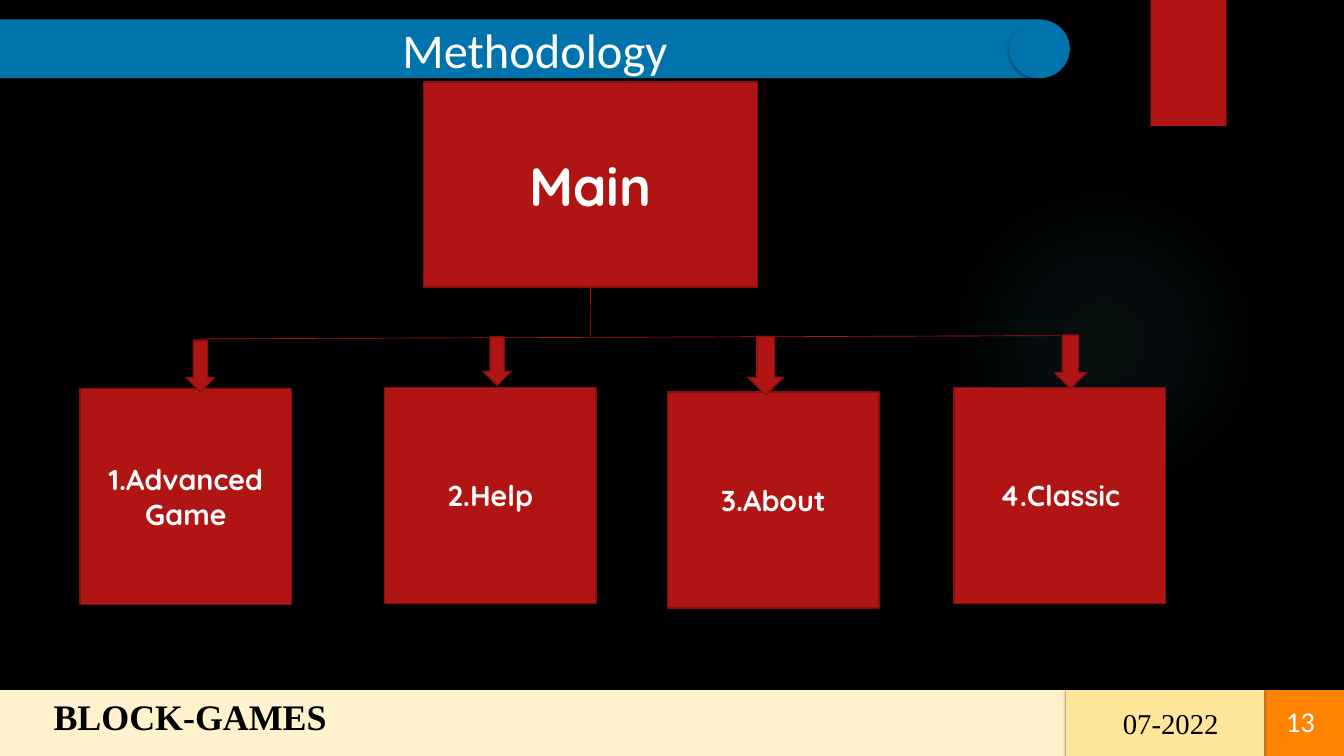
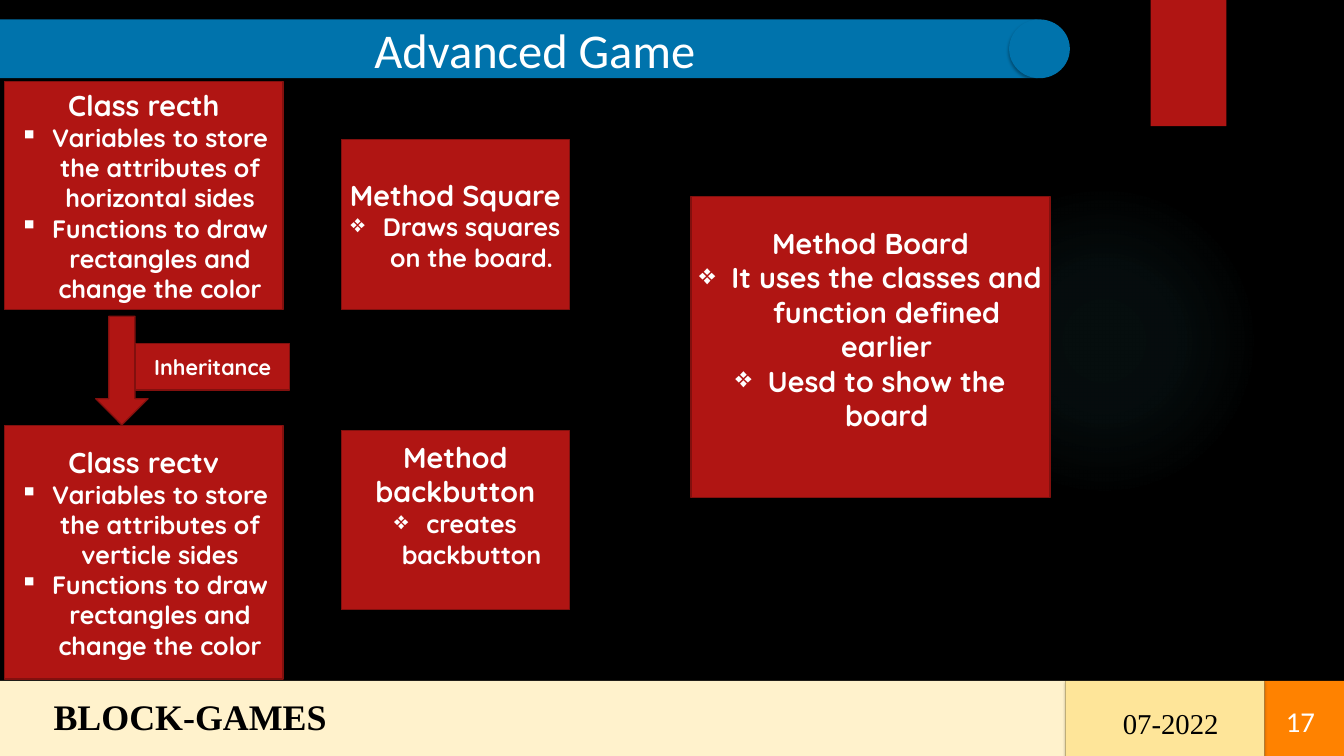
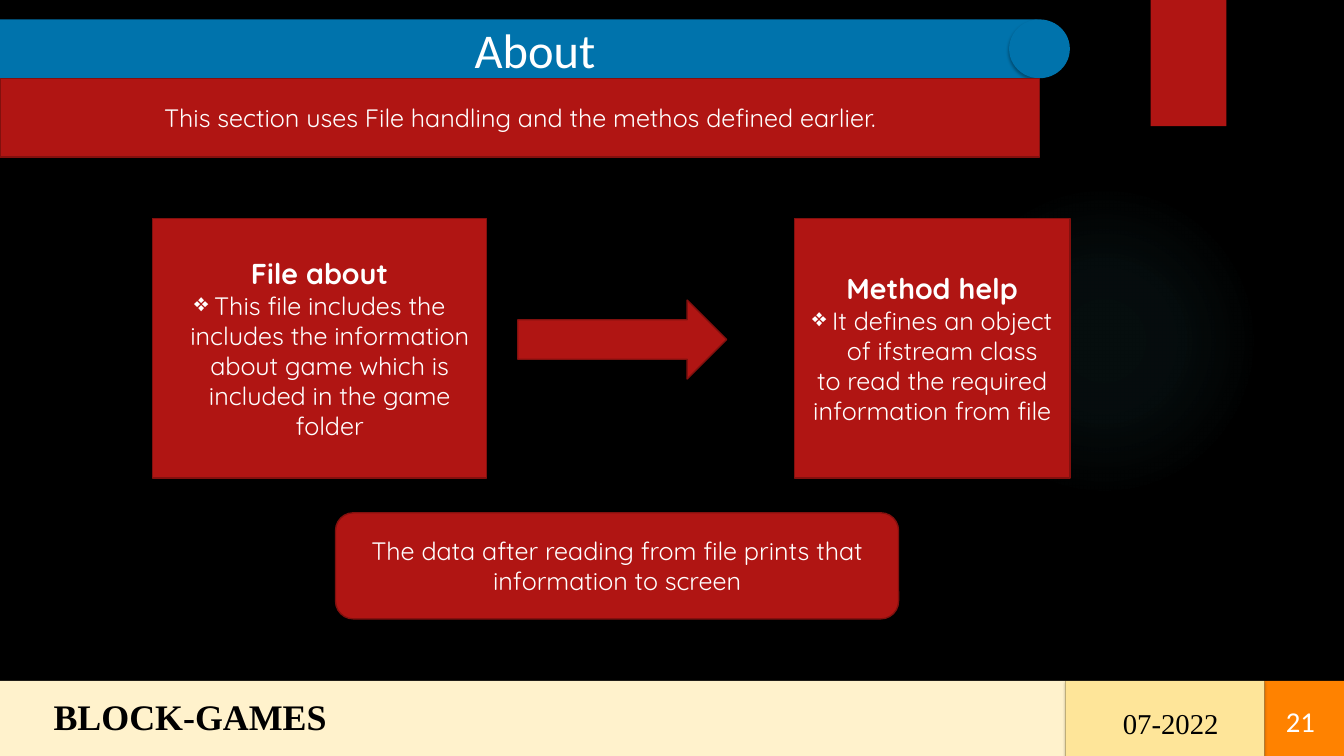
from dataclasses import dataclass

from pptx import Presentation
from pptx.dml.color import RGBColor
from pptx.enum.shapes import MSO_CONNECTOR, MSO_SHAPE as SHAPE
from pptx.enum.text import MSO_ANCHOR as ANCHOR, MSO_AUTO_SIZE, PP_ALIGN as ALIGN
from pptx.oxml import parse_xml
from pptx.oxml.ns import nsdecls, qn
from pptx.util import Inches, Pt


@dataclass(frozen=True)
class Theme:
    background: str = "000000"
    red: str = "B01513"
    outline: str = "82100E"
    blue: str = "0073AC"
    cream: str = "FFF2CC"
    sand: str = "FEE599"
    orange: str = "FF8200"
    glow: str = "50B9C1"
    light: str = "FFFFFF"
    dark: str = "000000"
    body_font: str = "Quicksand"
    title_font: str = "Calibri"
    footer_font: str = "Times New Roman"
    title: int = 54
    main: int = 60
    brand: int = 40
    heading: int = 32
    body: int = 28
    label: int = 24


@dataclass(frozen=True)
class Line:
    text: str
    size: int = Theme.body
    bold: bool = True
    bullet: str = ""
    indent: float = 0.5


THEME = Theme()
WIDTH, HEIGHT = 20.79, 11.69


def add_block(slide, kind, frame, fill=THEME.red, outline=THEME.outline):
    block = slide.shapes.add_shape(kind, *map(Inches, frame))
    block.shadow.inherit = False
    block.fill.solid()
    block.fill.fore_color.rgb = RGBColor.from_string(fill)
    if outline:
        block.line.color.rgb = RGBColor.from_string(outline)
        block.line.width = Pt(1.5)
    else:
        block.line.fill.background()
    return block


def write(shape, lines, font=THEME.body_font, color=THEME.light,
          align=ALIGN.CENTER, anchor=ANCHOR.MIDDLE):
    """Fill a shape with one formatted paragraph per Line."""
    frame = shape.text_frame
    frame.word_wrap = True
    frame.auto_size = MSO_AUTO_SIZE.NONE
    frame.vertical_anchor = anchor
    frame.text = "\n".join(line.text for line in lines)
    for paragraph, line in zip(frame.paragraphs, lines):
        paragraph.alignment = align
        for run in paragraph.runs:
            run.font.name = font
            run.font.size = Pt(line.size)
            run.font.bold = line.bold
            run.font.color.rgb = RGBColor.from_string(color)
        if line.bullet:
            properties = paragraph._p.get_or_add_pPr()
            properties.set("marL", str(Inches(line.indent)))
            properties.set("indent", str(-Inches(line.indent)))
            properties.append(parse_xml(
                f'<a:buChar {nsdecls("a")} char="{line.bullet}"/>'))


prs = Presentation()
prs.slide_width, prs.slide_height = Inches(WIDTH), Inches(HEIGHT)
backdrop = prs.slide_master.background.fill
backdrop.solid()
backdrop.fore_color.rgb = RGBColor.from_string(THEME.background)
layout = prs.slide_layouts[5]
for placeholder in list(layout.placeholders):
    if placeholder.placeholder_format.idx != 0:
        placeholder.element.getparent().remove(placeholder.element)

methodology, advanced, about = [prs.slides.add_slide(layout) for _ in range(3)]

# Glow and corner tab, moved to the layout so that every slide shows them
glow = add_block(methodology, SHAPE.OVAL, (14.68, 2.86, 4.81, 4.81), outline=None)
stops = "".join(
    f'<a:gs pos="{position}000"><a:srgbClr val="{THEME.glow}">'
    f'<a:alpha val="{alpha}000"/></a:srgbClr></a:gs>'
    for position, alpha in ((0, 7), (36, 6), (69, 0), (100, 0)))
glow_properties = glow.element.spPr
glow_properties.replace(glow_properties.find(qn("a:solidFill")), parse_xml(
    f'<a:gradFill {nsdecls("a")}><a:gsLst>{stops}</a:gsLst><a:path path="circle">'
    '<a:fillToRect l="50000" t="50000" r="50000" b="50000"/></a:path></a:gradFill>'))
corner_tab = add_block(methodology, SHAPE.RECTANGLE, (17.8, 0, 1.17, 1.95), outline=None)
for decoration in (glow, corner_tab):
    layout.element.cSld.spTree.append(decoration.element)

# Title bar and footer
for slide, heading, number, footer_top in (
        (methodology, "Methodology", "13", 10.67),
        (advanced, "Advanced Game", "17", 10.53),
        (about, "About", "21", 10.53)):
    title = slide.shapes.title
    title.left, title.top, title.width, title.height = map(Inches, (0, 0.3, 16.05, 0.91))
    title.fill.solid()
    title.fill.fore_color.rgb = RGBColor.from_string(THEME.blue)
    title.shadow.inherit = False
    write(title, [Line(heading, THEME.title, False)], THEME.title_font)
    margins = title.text_frame
    margins.margin_left = Inches(0.5)
    margins.margin_right = margins.margin_top = margins.margin_bottom = 0

    shadowed = [title, add_block(slide, SHAPE.OVAL, (15.61, 0.3, 0.94, 0.91),
                                 THEME.blue, None)]
    for left, right, color in ((0, 16.48, THEME.cream),
                               (19.56, WIDTH, THEME.orange),
                               (16.48, 19.56, THEME.sand)):
        band = (left, footer_top, right - left, HEIGHT - footer_top)
        shadowed.append(add_block(slide, SHAPE.RECTANGLE, band, color, None))
    for part in shadowed:
        part.element.spPr.find(qn("a:effectLst")).append(parse_xml(
            f'<a:outerShdw {nsdecls("a")} blurRad="{Pt(3.5)}" dist="{Pt(2.2)}" '
            'dir="5400000" rotWithShape="0"><a:srgbClr val="000000">'
            '<a:alpha val="32000"/></a:srgbClr></a:outerShdw>'))

    for text, frame, size, font, color, align, anchor in (
            ("BLOCK-GAMES", (0.73, 10.69, 12.33, 0.77), THEME.brand,
             THEME.footer_font, THEME.dark, ALIGN.LEFT, ANCHOR.TOP),
            (number, (19.73, 10.84, 0.71, 0.62), THEME.heading,
             THEME.title_font, THEME.light, ALIGN.RIGHT, ANCHOR.MIDDLE),
            ("07-2022", (17.27, 10.86, 2.12, 0.64), THEME.heading,
             THEME.footer_font, THEME.dark, ALIGN.LEFT, ANCHOR.TOP)):
        footer_text = slide.shapes.add_textbox(*map(Inches, frame))
        write(footer_text, [Line(text, size, size == THEME.brand)],
              font, color, align, anchor)

# Methodology: the main menu and its four branches
main_menu = add_block(methodology, SHAPE.RECTANGLE, (6.55, 1.27, 5.17, 3.17))
write(main_menu, [Line("Main", THEME.main)])
for start, end in (((9.13, 4.44), (9.13, 5.19)), ((3.1, 5.24), (16.4, 5.19))):
    branch_line = methodology.shapes.add_connector(
        MSO_CONNECTOR.STRAIGHT, *map(Inches, start + end))
    branch_line.line.color.rgb = RGBColor.from_string(THEME.red)
    branch_line.line.width = Pt(0.75)
    branch_line.element.spPr.append(parse_xml(f'<a:effectLst {nsdecls("a")}/>'))
    if start[0] == end[0]:
        branch_line.begin_connect(main_menu, 2)
for label, left, top, arrow in (
        ("1.Advanced Game", 1.24, 6.01, (2.88, 5.26, 0.44, 0.8)),
        ("2.Help", 5.95, 5.99, (7.47, 5.21, 0.44, 0.75)),
        ("3.About", 10.33, 6.06, (11.57, 5.2, 0.55, 0.91)),
        ("4.Classic", 14.76, 5.99, (16.31, 5.18, 0.5, 0.83))):
    branch = add_block(methodology, SHAPE.RECTANGLE, (left, top, 3.27, 3.34))
    write(branch, [Line(label, THEME.heading)])
    add_block(methodology, SHAPE.DOWN_ARROW, arrow)

# Advanced Game: classes and methods
for name, frame, bullet, size, items, space_below in (
        ("Class recth", (0.07, 1.26, 4.31, 3.53), "▪", THEME.body,
         ("Variables to store the attributes of horizontal sides",
          "Functions to draw rectangles and change the color"), 0.05),
        ("Class rectv", (0.07, 6.58, 4.31, 3.92), "▪", THEME.body,
         ("Variables to store the attributes of verticle sides",
          "Functions to draw rectangles and change the color"), 0.05),
        ("Method Square", (5.28, 2.16, 3.53, 2.63), "❖", THEME.body,
         ("Draws squares on the board.",), 0.05),
        ("Method backbutton", (5.28, 6.66, 3.53, 2.77), "❖", THEME.body,
         ("creates backbutton",), 0.54),
        ("Method Board", (10.69, 3.04, 5.55, 4.65), "❖", THEME.heading,
         ("It uses the classes and function defined earlier",
          "Uesd to show the board"), 0.6)):
    member = add_block(advanced, SHAPE.RECTANGLE, frame)
    write(member, [Line(name, THEME.heading)]
          + [Line(item, size, bullet=bullet) for item in items])
    member.text_frame.margin_bottom = Inches(space_below)
add_block(advanced, SHAPE.DOWN_ARROW, (1.48, 4.89, 0.81, 1.68))
inheritance = add_block(advanced, SHAPE.RECTANGLE, (2.1, 5.31, 2.38, 0.72))
write(inheritance, [Line("Inheritance", THEME.label)])

# About: from the file to the screen
for kind, frame, lines in (
        (SHAPE.RECTANGLE, (0, 1.21, 16.08, 1.22),
         [Line("This section uses File handling and the methos defined earlier.",
               bold=False)]),
        (SHAPE.RECTANGLE, (12.29, 3.38, 4.26, 4.01),
         [Line("Method help", THEME.heading),
          Line("It defines an object of ifstream class",
               bold=False, bullet="❖", indent=0.31),
          Line("to read the required information from file", bold=False)]),
        (SHAPE.RECTANGLE, (2.36, 3.38, 5.17, 4.01),
         [Line("File about", THEME.heading),
          Line("This file includes the includes the information about game "
               "which is included in the game folder",
               bold=False, bullet="❖", indent=0.31)]),
        (SHAPE.ROUNDED_RECTANGLE, (5.19, 7.93, 8.71, 1.64),
         [Line("The data after reading from file prints that information to screen",
               bold=False)])):
    write(add_block(about, kind, frame), lines)
add_block(about, SHAPE.RIGHT_ARROW, (8.01, 4.64, 3.23, 1.22))

prs.save("out.pptx")
